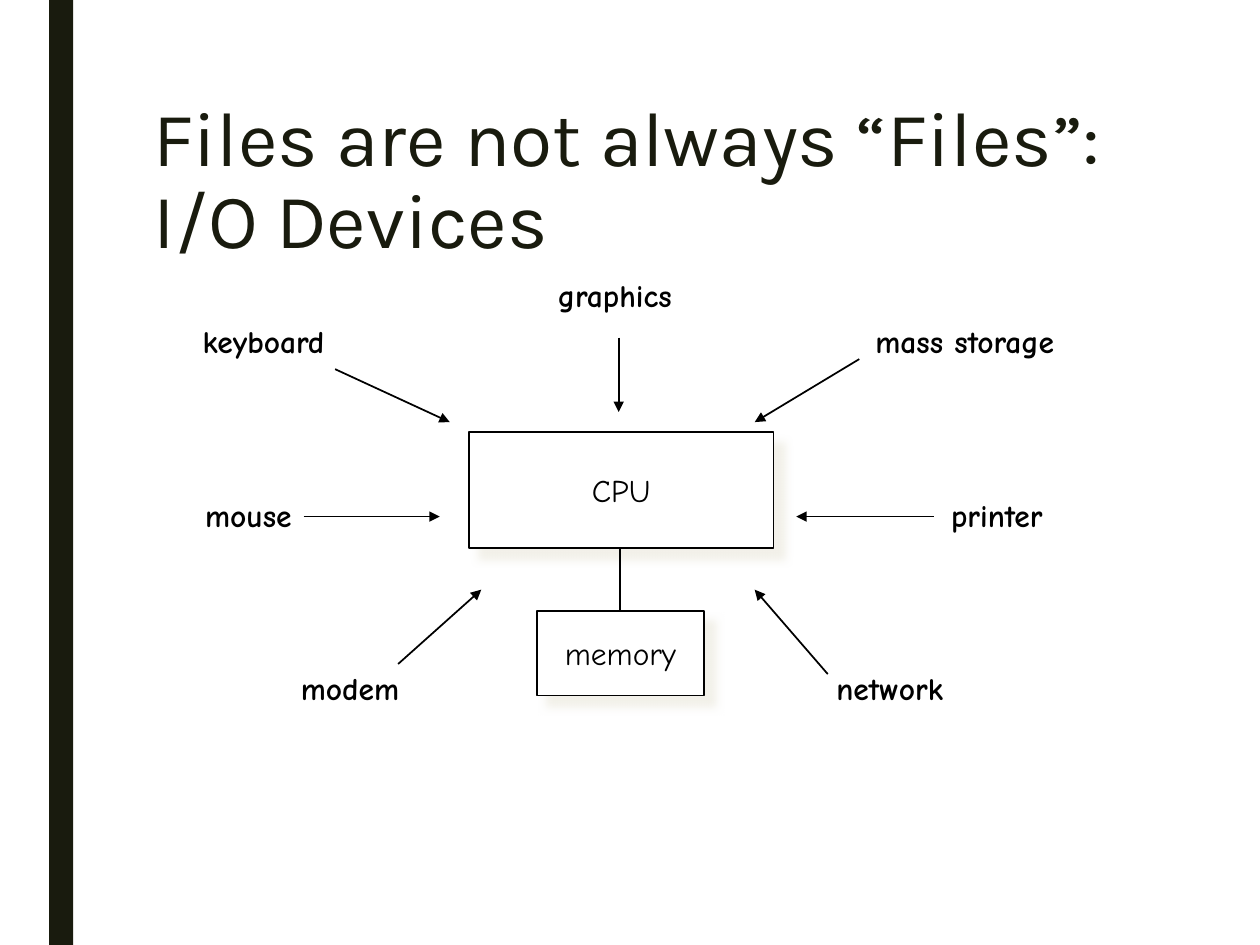
from dataclasses import dataclass

import pptx
import pptx.dml.color
import pptx.enum.shapes
import pptx.enum.text
import pptx.oxml
import pptx.oxml.ns
import pptx.util

RGB = pptx.dml.color.RGBColor
INK = RGB(0x19, 0x1B, 0x0E)
BLACK = RGB(0x00, 0x00, 0x00)
WHITE = RGB(0xFF, 0xFF, 0xFF)
SHADOW = RGB(0xEF, 0xED, 0xE3)

TITLE_FONT = "Karla"
DIAGRAM_FONT = "Comic Neue"

COLUMNS, ROWS = 100, 75
CELL = pptx.util.Inches(0.1)
LABEL_HEIGHT = 4

ALIGN = pptx.enum.text.PP_ALIGN
ANCHOR = pptx.enum.text.MSO_ANCHOR
RECTANGLE = pptx.enum.shapes.MSO_SHAPE.RECTANGLE


@dataclass(frozen=True)
class Box:
    """A place on the grid, in columns and rows."""
    left: float
    top: float
    width: float
    height: float

    def emu(self) -> list[int]:
        return [cells(n) for n in (self.left, self.top, self.width, self.height)]


@dataclass(frozen=True)
class Device:
    name: str
    left: float
    top: float
    width: float
    arrow_start: tuple[float, float]
    arrow_end: tuple[float, float]


CPU = Box(37.2, 34.3, 24.2, 9.2)
MEMORY = Box(42.6, 48.5, 13.3, 6.7)
BUS_COLUMN = 49.2

UPPER, MIDDLE, LOWER = 25.1, 38.9, 52.6
DEVICES = [
    Device("modem", 22.9, LOWER, 11, (31.6, 52.7), (38.2, 46.8)),
    Device("network", 65.4, LOWER, 11.7, (65.7, 53.5), (59.9, 46.8)),
    Device("mouse", 15.3, MIDDLE, 10.9, (24.1, 41), (34.9, 41)),
    Device("printer", 74.5, MIDDLE, 10, (74.1, 41), (63.2, 41)),
    Device("keyboard", 15.1, UPPER, 13.2, (26.6, 29.3), (35.7, 33.5)),
    Device("mass storage", 68.5, UPPER, 18.3, (68.2, 28.5), (59.9, 33.5)),
    Device("graphics", 43.3, 21.4, 12.5, (49.1, 26.8), (49.1, 32.7)),
]


def cells(n: float) -> int:
    return round(n * CELL)


def append_xml(parent, xml: str) -> None:
    namespace = pptx.oxml.ns.nsdecls("a")
    parent.append(pptx.oxml.parse_xml(xml.replace(">", f" {namespace}>", 1)))


def write_text(sp, text: str, *, font: str = DIAGRAM_FONT, size: float = 18,
               color: RGB = BLACK, bold: bool = False, align=ALIGN.LEFT,
               anchor=ANCHOR.TOP, wrap: bool = False, grow: bool = False,
               line_spacing: float = 1.0) -> None:
    tf = sp.text_frame
    tf.word_wrap = wrap
    tf.vertical_anchor = anchor
    if grow:
        tf.auto_size = pptx.enum.text.MSO_AUTO_SIZE.SHAPE_TO_FIT_TEXT
    p = tf.paragraphs[0]
    p.alignment = align
    p.line_spacing = line_spacing
    r = p.add_run()
    r.text = text
    r.font.name = font
    r.font.size = pptx.util.Pt(size)
    r.font.bold = bold
    r.font.color.rgb = color


def add_side_bar(s) -> None:
    sp = s.shapes.add_shape(RECTANGLE, *Box(3.9, 0, 1.9, ROWS).emu())
    sp.shadow.inherit = False
    sp.fill.solid()
    sp.fill.fore_color.rgb = INK
    sp.line.fill.background()


def add_title(s, text: str) -> None:
    sp = s.shapes.add_textbox(*Box(11.2, 7.5, 78.8, 16.2).emu())
    write_text(sp, text, font=TITLE_FONT, size=44, color=INK, wrap=True,
               line_spacing=0.89)


def add_unit(s, box: Box, text: str) -> None:
    """Draw a computer unit: an outlined box with a soft shadow."""
    sp = s.shapes.add_shape(RECTANGLE, *box.emu())
    sp.fill.solid()
    sp.fill.fore_color.rgb = WHITE
    sp.line.color.rgb = BLACK
    sp.line.width = pptx.util.Pt(1)
    blur, distance = pptx.util.Pt(5), pptx.util.Pt(8.5)
    append_xml(sp.element.spPr, (
        f'<a:effectLst><a:outerShdw blurRad="{blur}" dist="{distance}" '
        f'dir="{45 * 60000}" algn="ctr" rotWithShape="0">'
        f'<a:srgbClr val="{SHADOW}"><a:alpha val="75000"/></a:srgbClr>'
        '</a:outerShdw></a:effectLst>'))
    write_text(sp, text, align=ALIGN.CENTER, anchor=ANCHOR.MIDDLE)


def add_line(s, start: tuple[float, float], end: tuple[float, float],
             arrow: bool = False) -> None:
    line = s.shapes.add_connector(pptx.enum.shapes.MSO_CONNECTOR.STRAIGHT,
                                  *(cells(n) for n in start + end))
    line.line.color.rgb = BLACK
    line.line.width = pptx.util.Pt(1)
    if arrow:
        append_xml(line.line._get_or_add_ln(), '<a:tailEnd type="triangle"></a:tailEnd>')
    append_xml(line._element.spPr, "<a:effectLst></a:effectLst>")


def add_device(s, device: Device) -> None:
    box = Box(device.left, device.top, device.width, LABEL_HEIGHT)
    sp = s.shapes.add_textbox(*box.emu())
    write_text(sp, device.name, bold=True, grow=True)
    add_line(s, device.arrow_start, device.arrow_end, arrow=True)


def main() -> None:
    prs = pptx.Presentation()
    prs.slide_width, prs.slide_height = cells(COLUMNS), cells(ROWS)
    s = prs.slides.add_slide(prs.slide_layouts[6])
    add_side_bar(s)
    add_title(s, "Files are not always “Files”: I/O Devices")
    add_unit(s, CPU, "CPU")
    add_unit(s, MEMORY, "memory")
    add_line(s, (BUS_COLUMN, CPU.top + CPU.height), (BUS_COLUMN, MEMORY.top))
    for device in DEVICES:
        add_device(s, device)
    prs.save("out.pptx")


if __name__ == "__main__":
    main()
